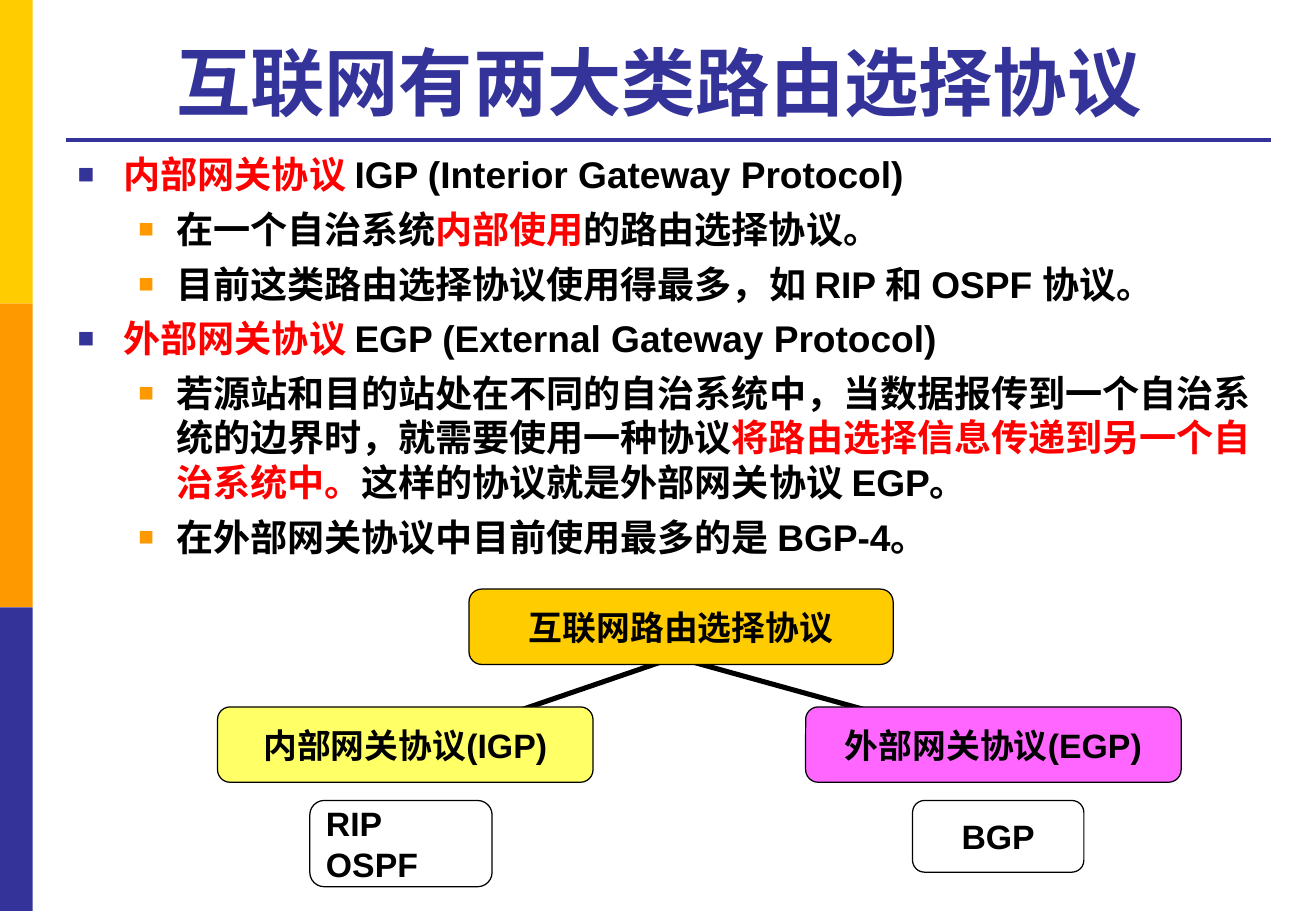
from dataclasses import dataclass

from lxml import etree
from pptx import Presentation
from pptx.dml.color import RGBColor
from pptx.enum.shapes import MSO_CONNECTOR, MSO_SHAPE
from pptx.enum.text import MSO_ANCHOR, MSO_AUTO_SIZE, PP_ALIGN
from pptx.oxml.ns import qn
from pptx.util import Inches, Pt

RECTANGLE, ROUNDED = MSO_SHAPE.RECTANGLE, MSO_SHAPE.ROUNDED_RECTANGLE
STRAIGHT = MSO_CONNECTOR.STRAIGHT
LEFT, CENTER = PP_ALIGN.LEFT, PP_ALIGN.CENTER
TOP, MIDDLE, BOTTOM = MSO_ANCHOR.TOP, MSO_ANCHOR.MIDDLE, MSO_ANCHOR.BOTTOM

FONT = "Arial"
COLORS = {
    "gold": "FFCC00",
    "orange": "FF9900",
    "indigo": "333399",
    "red": "FF0000",
    "black": "000000",
    "pink": "FF66FF",
    "yellow": "FFFF66",
}


@dataclass
class Point:
    level: int
    runs: list[tuple[str, str]]


@dataclass
class BulletStyle:
    color: str
    size_percent: int
    margin: float
    hanging: float


@dataclass
class Node:
    lines: list[str]
    left: float
    top: float
    width: float
    height: float
    fill: str | None = None
    align: PP_ALIGN = CENTER


@dataclass
class Line:
    start: tuple[float, float]
    end: tuple[float, float]
    color: str
    width: float


BULLETS = [
    BulletStyle("indigo", 75, 0.38, 0.38),
    BulletStyle("orange", 70, 0.81, 0.31),
]
POINTS = [
    Point(0, [("内部网关协议 ", "red"), ("IGP (Interior Gateway Protocol)", "black")]),
    Point(1, [("在一个自治系统", "black"), ("内部使用", "red"), ("的路由选择协议。", "black")]),
    Point(1, [("目前这类路由选择协议使用得最多，如 RIP 和 OSPF 协议。", "black")]),
    Point(0, [("外部网关协议 ", "red"), ("EGP (External Gateway Protocol)", "black")]),
    Point(1, [
        ("若源站和目的站处在不同的自治系统中，当数据报传到一个自治系统的边界时，就需要使用一种协议", "black"),
        ("将路由选择信息传递到另一个自治系统中。", "red"),
        ("这样的协议就是外部网关协议 EGP。", "black"),
    ]),
    Point(1, [("在外部网关协议中目前使用最多的是 BGP-4。", "black")]),
]
TITLE_RULE = Line((0.54, 1.15), (10.46, 1.15), "indigo", 2.25)
BRANCHES = [
    Line((5.44, 5.45), (3.95, 5.96), "black", 3),
    Line((5.7, 5.45), (7.54, 5.96), "black", 3),
]
NODES = [
    Node(["RIP", "OSPF"], 2.55, 6.59, 1.5, 0.71, align=LEFT),
    Node(["互联网路由选择协议"], 3.86, 4.85, 3.49, 0.62, "gold"),
    Node(["BGP"], 7.51, 6.59, 1.41, 0.59),
    Node(["外部网关协议(EGP)"], 6.63, 5.82, 3.09, 0.62, "pink"),
    Node(["内部网关协议(IGP)"], 1.79, 5.82, 3.09, 0.62, "yellow"),
]


def rgb(color: str) -> RGBColor:
    return RGBColor.from_string(COLORS[color])


def place(shape, left: float, top: float, width: float, height: float) -> None:
    shape.left, shape.top = Inches(left), Inches(top)
    shape.width, shape.height = Inches(width), Inches(height)


def set_font(paragraph, size: float, color: str | None = None) -> None:
    font = paragraph.font
    font.name, font.size, font.bold = FONT, Pt(size), True
    if color:
        font.color.rgb = rgb(color)


def add_side_band(slide, index: int, color: str) -> None:
    band = slide.shapes.add_shape(
        RECTANGLE, 0, Inches(2.5 * index), Inches(0.27), Inches(2.5))
    band.shadow.inherit = False
    band.fill.solid()
    band.fill.fore_color.rgb = rgb(color)
    band.line.fill.background()


def add_line(slide, line: Line) -> None:
    ends = [Inches(value) for value in (*line.start, *line.end)]
    connector = slide.shapes.add_connector(STRAIGHT, *ends)
    connector.line.color.rgb = rgb(line.color)
    connector.line.width = Pt(line.width)
    etree.SubElement(connector._element.spPr, qn("a:effectLst"))


def add_bullet(paragraph, style: BulletStyle) -> None:
    properties = paragraph._p.get_or_add_pPr()
    properties.set("marL", str(Inches(style.margin)))
    properties.set("indent", str(-Inches(style.hanging)))
    bullet_color = etree.SubElement(properties, qn("a:buClr"))
    etree.SubElement(bullet_color, qn("a:srgbClr"), val=COLORS[style.color])
    etree.SubElement(properties, qn("a:buSzPct"), val=str(style.size_percent * 1000))
    etree.SubElement(properties, qn("a:buFont"), typeface=FONT)
    etree.SubElement(properties, qn("a:buChar"), char="■")


def add_points(slide, points: list[Point]) -> None:
    body = slide.shapes.add_textbox(
        Inches(0.54), Inches(1.2), Inches(9.91), Inches(3.46))
    frame = body.text_frame
    frame.word_wrap = True
    frame.vertical_anchor = TOP
    for index, point in enumerate(points):
        paragraph = frame.add_paragraph() if index else frame.paragraphs[0]
        paragraph.level = point.level
        add_bullet(paragraph, BULLETS[point.level])
        paragraph.space_before = Pt(6 if index else 0)
        set_font(paragraph, 22)
        for text, color in point.runs:
            run = paragraph.add_run()
            run.text = text
            run.font.color.rgb = rgb(color)


def add_node(slide, node: Node) -> None:
    box = slide.shapes.add_shape(
        ROUNDED, Inches(node.left), Inches(node.top),
        Inches(node.width), Inches(node.height))
    box.shadow.inherit = False
    if node.fill:
        box.fill.solid()
        box.fill.fore_color.rgb = rgb(node.fill)
    else:
        box.fill.background()
    box.line.color.rgb = rgb("black")
    box.line.width = Pt(0.75)
    frame = box.text_frame
    frame.word_wrap = False
    frame.vertical_anchor = MIDDLE
    for index, text in enumerate(node.lines):
        paragraph = frame.add_paragraph() if index else frame.paragraphs[0]
        paragraph.text = text
        paragraph.alignment = node.align
        set_font(paragraph, 20, "black")


def main() -> None:
    deck = Presentation()
    deck.slide_width, deck.slide_height = Inches(10.83), Inches(7.5)
    slide = deck.slides.add_slide(deck.slide_layouts[5])

    # Side bands and rule under the title
    for index, color in enumerate(("gold", "orange", "indigo")):
        add_side_band(slide, index, color)
    add_line(slide, TITLE_RULE)

    # Title
    title = slide.shapes.title
    place(title, 0.54, 0.21, 9.91, 0.87)
    title.text_frame.text = "互联网有两大类路由选择协议 "
    title.text_frame.auto_size = MSO_AUTO_SIZE.NONE
    title.text_frame.vertical_anchor = BOTTOM
    heading = title.text_frame.paragraphs[0]
    heading.alignment = CENTER
    set_font(heading, 44, "indigo")

    # Explanations
    add_points(slide, POINTS)

    # Protocol tree, branches behind the boxes
    for branch in BRANCHES:
        add_line(slide, branch)
    for node in NODES:
        add_node(slide, node)

    deck.save("out.pptx")


if __name__ == "__main__":
    main()
